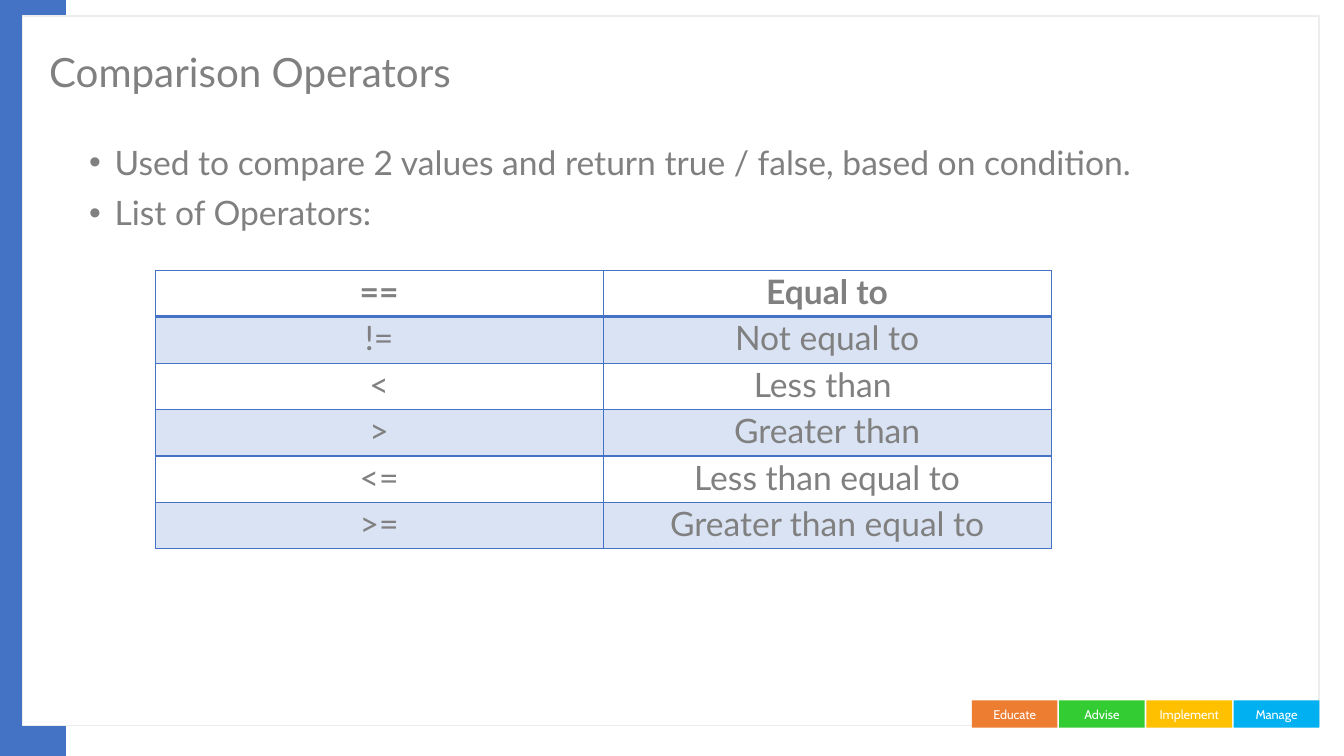
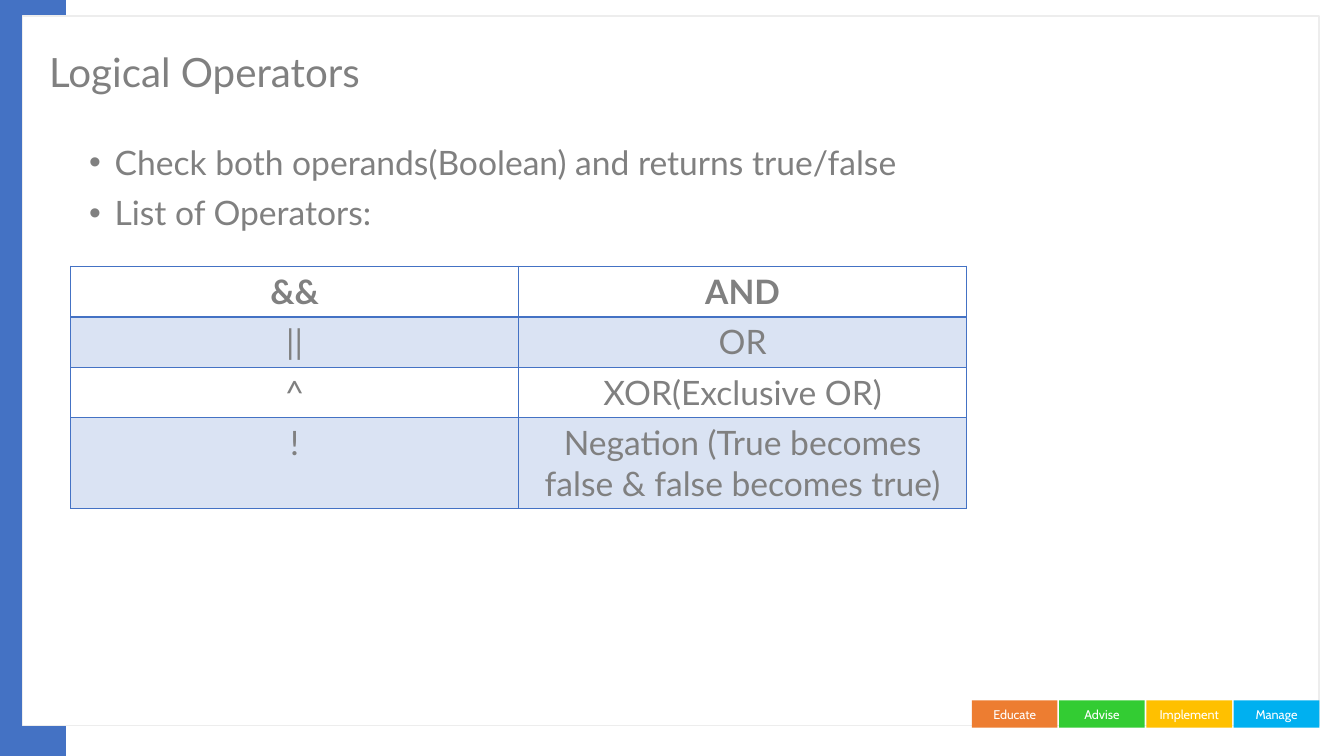
from dataclasses import dataclass

from lxml.etree import SubElement
from pptx import Presentation
from pptx.dml.color import RGBColor
from pptx.enum.shapes import MSO_SHAPE as Shape
from pptx.enum.text import MSO_ANCHOR as Anchor, PP_ALIGN as Align
from pptx.oxml.ns import qn
from pptx.util import Cm, Pt

BLUE = "4472C4"
PALE_BLUE = "DAE3F3"
WHITE = "FFFFFF"
FRAME_GREY = "EDEDED"
TEXT_GREY = "808080"
TEXT_FONT = "Lato"
TAG_FONT = "Cabin"
BODY_SIZE = 24
COLUMN_WIDTH = 11.29
TAG_LEFT, TAG_STEP = 24.49, 2.2


@dataclass(frozen=True)
class Area:
    """A rectangle in centimetres."""
    left: float
    top: float
    width: float
    height: float

    def lengths(self) -> tuple:
        return Cm(self.left), Cm(self.top), Cm(self.width), Cm(self.height)


@dataclass(frozen=True)
class Tag:
    label: str
    color: str


@dataclass(frozen=True)
class OperatorPage:
    title: str
    bullets: tuple[str, ...]
    operators: tuple[tuple[str, str], ...]
    table_left: float
    table_top: float
    row_height: float
    line_spacing: float


SIDE_BAND = Area(0, 0, 1.66, 19.05)
FRAME = Area(0.57, 0.4, 32.67, 17.88)
TITLE = Area(0.99, 0.76, 26.21, 2.21)
BODY = Area(2, 3.56, 31.17, 13.72)

TAGS = (
    Tag("Educate", "ED7D31"),
    Tag("Advise", "33CC33"),
    Tag("Implement", "FFC000"),
    Tag("Manage", "00B0F0"),
)

PAGES = (
    OperatorPage(
        "Comparison Operators",
        ("Used to compare 2 values and return true / false, based on condition.",
         "List of Operators:"),
        (("==", "Equal to"),
         ("!=", "Not equal to"),
         ("<", "Less than "),
         (">", "Greater than"),
         ("<=", "Less than equal to"),
         (">=", "Greater than equal to")),
        table_left=3.91, table_top=6.81, row_height=1.17, line_spacing=0.9,
    ),
    OperatorPage(
        "Logical Operators",
        ("Check both operands(Boolean) and returns true/false",
         "List of Operators:"),
        (("&&", "AND"),
         ("||", "OR"),
         ("^", "XOR(Exclusive OR)"),
         ("!", "Negation (True becomes false & false becomes true)")),
        table_left=1.78, table_top=6.71, row_height=1.27, line_spacing=1.0,
    ),
)


def rgb(color: str) -> RGBColor:
    return RGBColor.from_string(color)


def style_font(para, size: float, name: str = TEXT_FONT,
               color: str = TEXT_GREY, bold: bool = False) -> None:
    font = para.font
    font.name, font.size, font.bold = name, Pt(size), bold
    font.color.rgb = rgb(color)


def add_rectangle(page, area: Area, fill: str, line: str | None = None):
    box = page.shapes.add_shape(Shape.RECTANGLE, *area.lengths())
    box.shadow.inherit = False
    box.fill.solid()
    box.fill.fore_color.rgb = rgb(fill)
    if line:
        box.line.color.rgb = rgb(line)
        box.line.width = Pt(1)
    else:
        box.line.fill.background()
    return box


def add_tag(page, tag: Tag, area: Area) -> None:
    frame = add_rectangle(page, area, tag.color).text_frame
    frame.margin_left = frame.margin_right = 0
    frame.margin_top = frame.margin_bottom = 0
    frame.vertical_anchor = Anchor.MIDDLE
    para = frame.paragraphs[0]
    para.text = tag.label
    para.alignment = Align.CENTER
    style_font(para, 9, TAG_FONT, WHITE)


def add_background(page) -> None:
    add_rectangle(page, SIDE_BAND, BLUE)
    add_rectangle(page, FRAME, WHITE, FRAME_GREY)
    for index, tag in enumerate(TAGS):
        add_tag(page, tag, Area(TAG_LEFT + index * TAG_STEP, 17.65, 2.16, 0.69))


def add_text_frame(page, area: Area, anchor: Anchor):
    frame = page.shapes.add_textbox(*area.lengths()).text_frame
    frame.word_wrap = True
    frame.vertical_anchor = anchor
    return frame


def add_title(page, title: str) -> None:
    para = add_text_frame(page, TITLE, Anchor.MIDDLE).paragraphs[0]
    para.text = title
    para.line_spacing = 0.9
    style_font(para, 28.8)


def add_bullet(para) -> None:
    properties = para._p.get_or_add_pPr()
    properties.set("marL", str(Cm(0.64)))
    properties.set("indent", str(-Cm(0.64)))
    SubElement(properties, qn("a:buFont"), typeface="Arial")
    SubElement(properties, qn("a:buChar"), char="•")


def add_bullets(page, bullets: tuple[str, ...]) -> None:
    frame = add_text_frame(page, BODY, Anchor.TOP)
    for index, text in enumerate(bullets):
        para = frame.add_paragraph() if index else frame.paragraphs[0]
        para.text = text
        para.line_spacing = 0.9
        if index:
            para.space_before = Pt(10)
        add_bullet(para)
        style_font(para, BODY_SIZE)


def set_borders(cell, top: float, bottom: float) -> None:
    """Draw blue cell borders; top and bottom widths are in points."""
    properties = cell._tc.get_or_add_tcPr()
    for side, width in (("L", 1), ("R", 1), ("T", top), ("B", bottom)):
        line = SubElement(properties, qn(f"a:ln{side}"), w=str(Pt(width)))
        fill = SubElement(line, qn("a:solidFill"))
        SubElement(fill, qn("a:srgbClr"), val=BLUE)


def add_operator_table(page, content: OperatorPage) -> None:
    rows = content.operators
    area = Area(content.table_left, content.table_top,
                2 * COLUMN_WIDTH, len(rows) * content.row_height)
    table = page.shapes.add_table(len(rows), 2, *area.lengths()).table
    table.horz_banding = False
    for row, texts in enumerate(rows):
        table.rows[row].height = Cm(content.row_height)
        for column, text in enumerate(texts):
            cell = table.cell(row, column)
            set_borders(cell, top=2 if row == 1 else 1, bottom=2 if row == 0 else 1)
            if row % 2:
                cell.fill.solid()
                cell.fill.fore_color.rgb = rgb(PALE_BLUE)
            else:
                cell.fill.background()
            para = cell.text_frame.paragraphs[0]
            para.text = text
            para.alignment = Align.CENTER
            para.line_spacing = content.line_spacing
            style_font(para, BODY_SIZE, bold=row == 0)


def main() -> None:
    deck = Presentation()
    deck.slide_width, deck.slide_height = Cm(33.87), Cm(19.05)
    blank = deck.slide_layouts[6]
    for content in PAGES:
        page = deck.slides.add_slide(blank)
        add_background(page)
        add_title(page, content.title)
        add_bullets(page, content.bullets)
        add_operator_table(page, content)
    deck.save("out.pptx")


if __name__ == "__main__":
    main()
